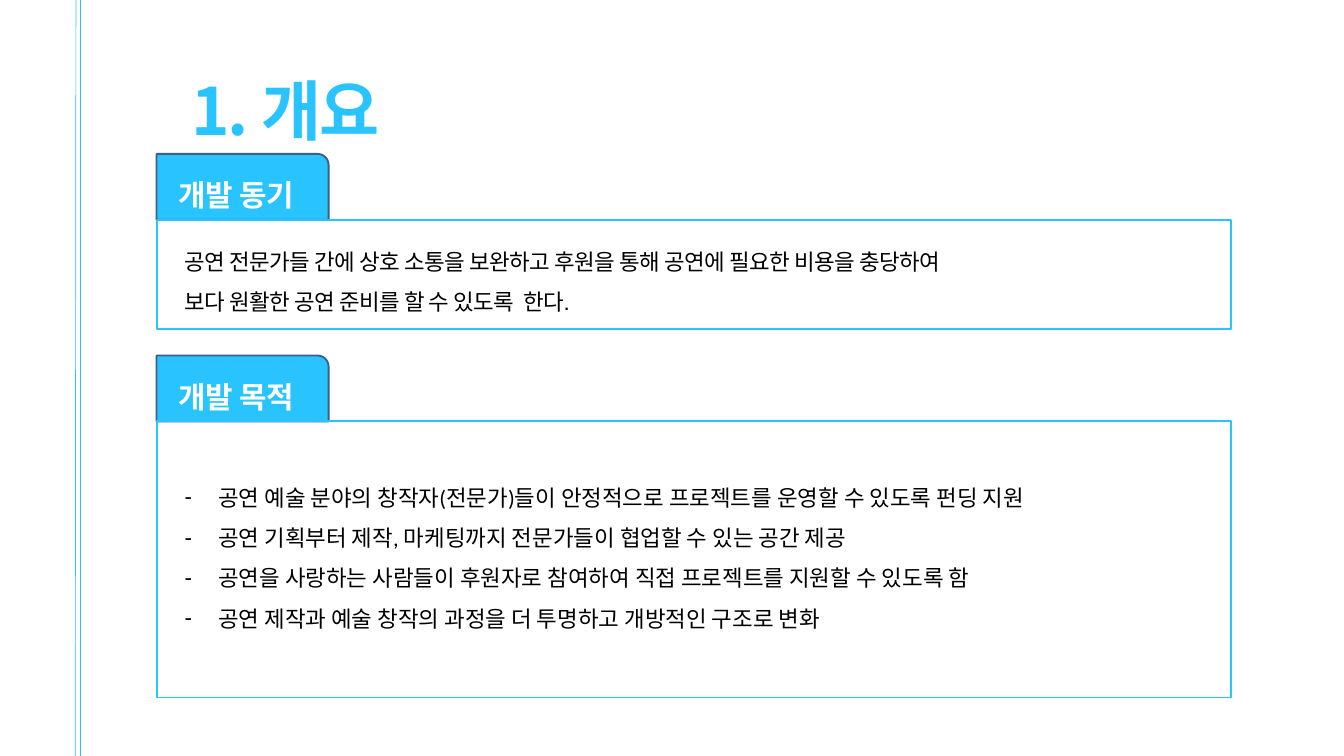
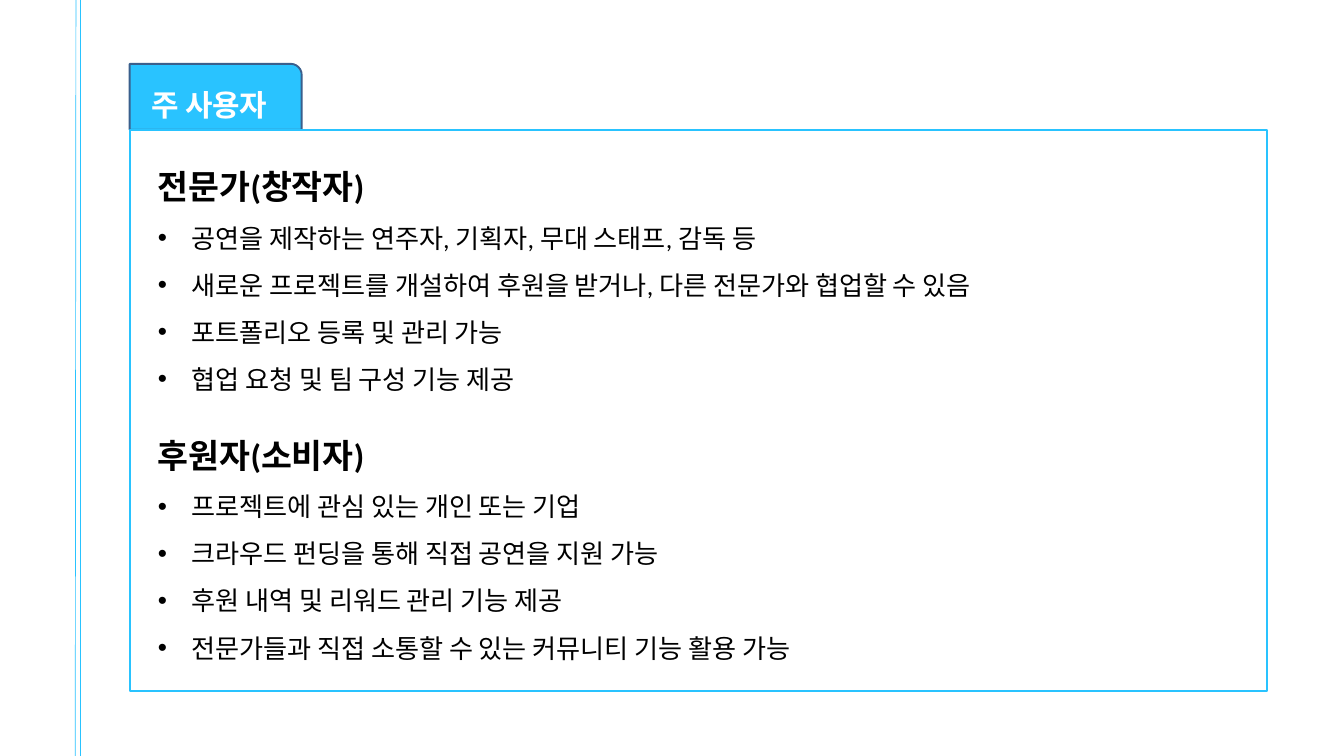
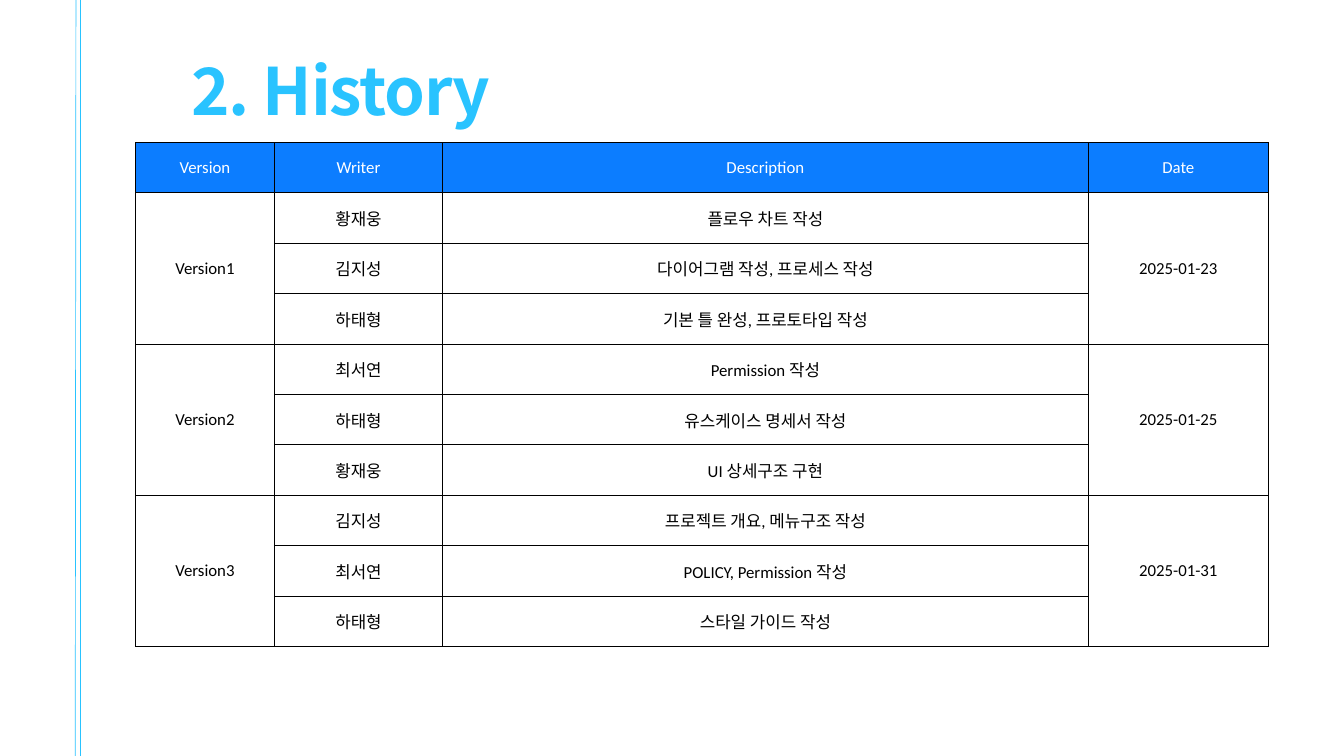
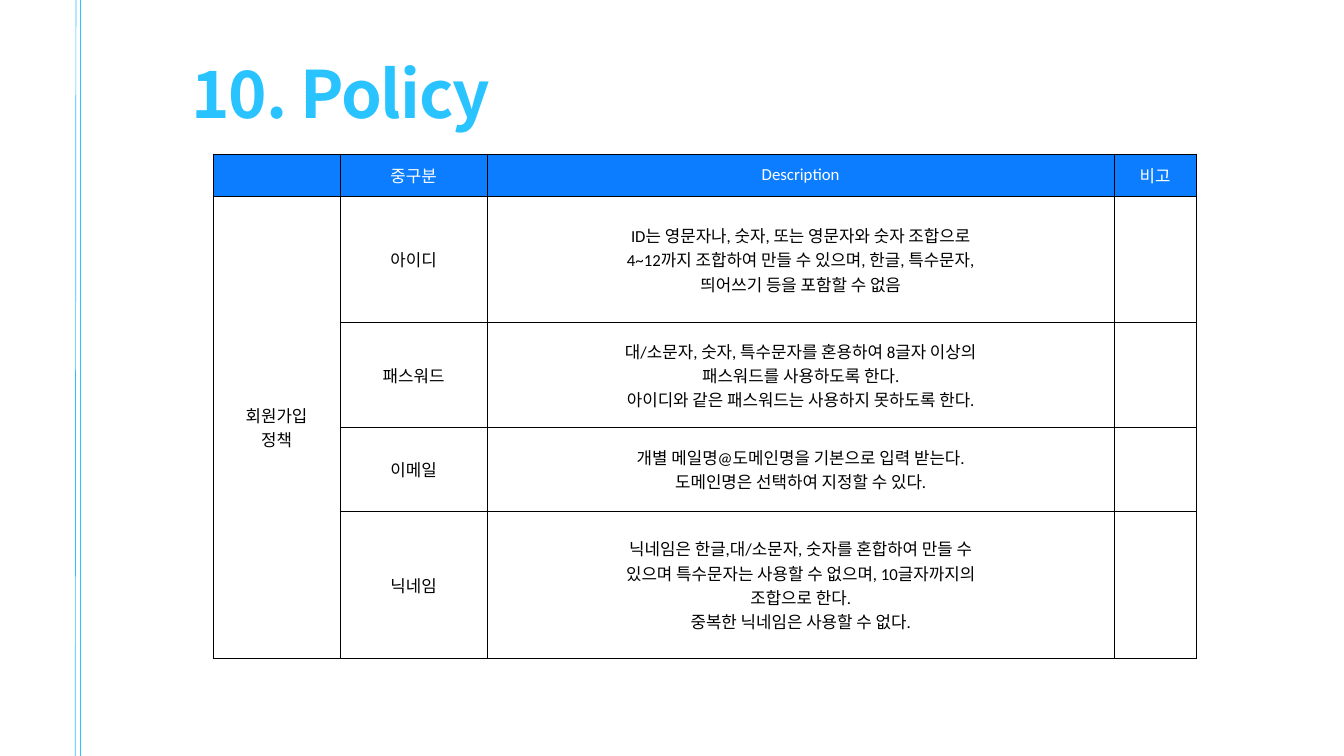
"""Build four slides of a project plan: overview, users, history and policy."""
from dataclasses import dataclass
from typing import NamedTuple

from lxml.etree import SubElement
from pptx import Presentation
from pptx.dml.color import RGBColor
from pptx.enum.shapes import MSO_CONNECTOR, MSO_SHAPE
from pptx.enum.text import MSO_ANCHOR, MSO_AUTO_SIZE, PP_ALIGN
from pptx.oxml.ns import qn
from pptx.slide import Slide
from pptx.util import Inches, Pt

SKY = RGBColor(0x29, 0xC3, 0xFF)
NAVY = RGBColor(0x3A, 0x5F, 0x8C)
BLUE = RGBColor(0x0C, 0x7D, 0xFF)
WHITE = RGBColor(0xFF, 0xFF, 0xFF)
BLACK = RGBColor(0x00, 0x00, 0x00)

WIDE, HIGH = Inches(20), Inches(11.25)
COL, ROW = WIDE / 200, HIGH / 112.5
HANGUL = "Noto Sans CJK KR"


class Area(NamedTuple):
    """A place in grid columns and rows."""
    left: float
    top: float
    width: float
    height: float

    def emu(self) -> tuple:
        """Give the place in slide units."""
        return (round(self.left * COL), round(self.top * ROW),
                round(self.width * COL), round(self.height * ROW))


@dataclass(frozen=True)
class Look:
    """The look of a run of text."""
    name: str
    size: float
    color: RGBColor = BLACK
    bold: bool = False
    track: float = 0
    pitch: object = 1.5


@dataclass(frozen=True)
class Line:
    """A paragraph with an optional bullet."""
    text: str
    look: Look
    mark: str = ""


@dataclass(frozen=True)
class Panel:
    """A framed box with a tab on its top left corner."""
    label: str
    frame: Area


@dataclass(frozen=True)
class Grid:
    """A table; None joins a cell to the one above it."""
    area: Area
    cols: tuple
    rows: tuple
    inset: float
    cells: tuple


TITLE = Look(HANGUL, 70, SKY, True, -1.2, Pt(126))
FIRST = Look(HANGUL, 70, SKY, True, -2.2, Pt(126))
TAB = Look("Roboto", 32, WHITE, True, -0.5, Pt(46.9))
BODY = Look("Arial", 24, track=-0.5)
ITEM = Look("Calibri", 24)
ROLE = Look("Calibri", 36, bold=True)
POINT = Look("Calibri", 28)
HEAD = Look("Calibri", 18, WHITE, pitch=None)
CELL = Look("Calibri", 18, pitch=None)

MOTIVE = Panel("개발 동기", Area(23.3, 32.7, 159.9, 16.3))
GOAL = Panel("개발 목적", Area(23.3, 62.7, 159.9, 41.1))
USERS = Panel("주 사용자", Area(19.3, 19.3, 169.2, 83.6))

REASONS = (
    "공연 전문가들 간에 상호 소통을 보완하고 후원을 통해 공연에 필요한 비용을 충당하여",
    "보다 원활한 공연 준비를 할 수 있도록  한다.",
)
GOALS = (
    "공연 예술 분야의 창작자(전문가)들이 안정적으로 프로젝트를 운영할 수 있도록 펀딩 지원",
    "공연 기획부터 제작, 마케팅까지 전문가들이 협업할 수 있는 공간 제공",
    "공연을 사랑하는 사람들이 후원자로 참여하여 직접 프로젝트를 지원할 수 있도록 함",
    "공연 제작과 예술 창작의 과정을 더 투명하고 개방적인 구조로 변화",
)
ROLES = {
    "전문가(창작자)": (
        "공연을 제작하는 연주자, 기획자, 무대 스태프, 감독 등",
        "새로운 프로젝트를 개설하여 후원을 받거나, 다른 전문가와 협업할 수 있음",
        "포트폴리오 등록 및 관리 가능",
        "협업 요청 및 팀 구성 기능 제공",
    ),
    "후원자(소비자)": (
        "프로젝트에 관심 있는 개인 또는 기업",
        "크라우드 펀딩을 통해 직접 공연을 지원 가능",
        "후원 내역 및 리워드 관리 기능 제공",
        "전문가들과 직접 소통할 수 있는 커뮤니티 기능 활용 가능",
    ),
}
HISTORY = Grid(
    Area(20.2, 21.2, 168.5, 75), (20.6, 25.1, 96, 26.9), (7.5,) * 10, 0.2,
    (
        ("Version", "Writer", "Description", "Date"),
        ("Version1", "황재웅", "플로우 차트 작성", "2025-01-23"),
        (None, "김지성", "다이어그램 작성, 프로세스 작성", None),
        (None, "하태형", "기본 틀 완성, 프로토타입 작성", None),
        ("Version2", "최서연", "Permission 작성", "2025-01-25"),
        (None, "하태형", "유스케이스 명세서 작성", None),
        (None, "황재웅", "UI 상세구조 구현", None),
        ("Version3", "김지성", "프로젝트 개요, 메뉴구조 작성", "2025-01-31"),
        (None, "최서연", "POLICY, Permission 작성", None),
        (None, "하태형", "스타일 가이드 작성", None),
    ),
)
POLICY = Grid(
    Area(31.7, 22.9, 146.3, 75), (18.9, 21.9, 93.3, 12.2),
    (6.3, 18.8, 15.6, 12.5, 21.9), 0.1,
    (
        ("", "중구분", "Description", "비고"),
        ("회원가입\n정책", "아이디",
         "ID는 영문자나, 숫자, 또는 영문자와 숫자 조합으로\n"
         "4~12까지 조합하여 만들 수 있으며, 한글, 특수문자,\n"
         "띄어쓰기 등을 포함할 수 없음", ""),
        (None, "패스워드",
         "대/소문자, 숫자, 특수문자를 혼용하여 8글자 이상의\n"
         "패스워드를 사용하도록 한다.\n"
         "아이디와 같은 패스워드는 사용하지 못하도록 한다.", ""),
        (None, "이메일",
         "개별 메일명@도메인명을 기본으로 입력 받는다.\n"
         "도메인명은 선택하여 지정할 수 있다.", ""),
        (None, "닉네임",
         "닉네임은 한글,대/소문자, 숫자를 혼합하여 만들 수\n"
         "있으며 특수문자는 사용할 수 없으며, 10글자까지의\n"
         "조합으로 한다.\n"
         "중복한 닉네임은 사용할 수 없다.", ""),
    ),
)


def apply(target: object, values: dict) -> None:
    """Set each named value on the target."""
    for key, value in values.items():
        setattr(target, key, value)


def write(para: object, line: Line) -> None:
    """Fill a paragraph with a styled line."""
    look = line.look
    para.text = line.text
    if look.pitch:
        para.line_spacing = look.pitch
    for run in para.runs:
        apply(run.font, {"name": look.name, "size": Pt(look.size),
                         "bold": look.bold})
        run.font.color.rgb = look.color
        props = run._r.get_or_add_rPr()
        SubElement(props, qn("a:ea"), typeface=HANGUL)
        if look.track:
            props.set("spc", str(round(look.track * 100)))
    if line.mark:
        props = para._p.get_or_add_pPr()
        props.set("marL", str(Inches(0.5)))
        props.set("indent", str(-Inches(0.5)))
        SubElement(props, qn("a:buFont"), typeface="Arial")
        SubElement(props, qn("a:buChar"), char=line.mark)


def add_text(slide: Slide, area: Area, lines: list, wrap: bool = True,
             flush: bool = False) -> None:
    """Add a text box, flush with its edges if asked."""
    frame = slide.shapes.add_textbox(*area.emu()).text_frame
    apply(frame, {"word_wrap": wrap,
                  "auto_size": MSO_AUTO_SIZE.SHAPE_TO_FIT_TEXT})
    if flush:
        apply(frame, dict.fromkeys(
            ("margin_left", "margin_top", "margin_right", "margin_bottom"), 0))
    for at, line in enumerate(lines):
        write(frame.add_paragraph() if at else frame.paragraphs[0], line)


def add_box(slide: Slide, kind: MSO_SHAPE, area: Area, edge: RGBColor,
            fill: RGBColor | None = None) -> None:
    """Add an outlined shape."""
    shape = slide.shapes.add_shape(kind, *area.emu())
    shape.shadow.inherit = False
    shape.line.color.rgb = edge
    shape.line.width = Pt(2)
    if fill is None:
        shape.fill.background()
    else:
        shape.fill.solid()
        shape.fill.fore_color.rgb = fill


def add_panel(slide: Slide, panel: Panel) -> None:
    """Add a tab, its label and the frame below."""
    left, top = panel.frame.left, panel.frame.top
    add_box(slide, MSO_SHAPE.ROUND_1_RECTANGLE,
            Area(left, top - 9.8, 25.6, 9.8), NAVY, SKY)
    add_text(slide, Area(left + 3.3, top - 7.6, 19, 6.1),
             [Line(panel.label, TAB)], flush=True)
    add_box(slide, MSO_SHAPE.RECTANGLE, panel.frame, SKY)


def add_title(slide: Slide, text: str, top: float, look: Look = TITLE) -> None:
    """Add the large slide title."""
    add_text(slide, Area(28.5, top, 127.7, 15.8), [Line(text, look)],
             flush=True)


def add_table(slide: Slide, grid: Grid) -> None:
    """Add a ruled table with a blue head row."""
    table = slide.shapes.add_table(
        len(grid.rows), len(grid.cols), *grid.area.emu()).table
    table.horz_banding = False
    for col, width in zip(table.columns, grid.cols):
        col.width = round(width * COL)
    for row, height in zip(table.rows, grid.rows):
        row.height = round(height * ROW)
    side = round(grid.inset * COL)
    for r, texts in enumerate(grid.cells):
        for c, text in enumerate(texts):
            cell = table.cell(r, c)
            apply(cell, {"margin_left": side, "margin_right": side,
                         "margin_top": 0, "margin_bottom": 0,
                         "vertical_anchor": MSO_ANCHOR.MIDDLE})
            rule(cell)
            if r:
                cell.fill.background()
            else:
                cell.fill.solid()
                cell.fill.fore_color.rgb = BLUE
            if text:
                para = cell.text_frame.paragraphs[0]
                write(para, Line(text, CELL if r else HEAD))
                para.alignment = PP_ALIGN.CENTER
    for c, texts in enumerate(zip(*grid.cells)):
        starts = [r for r, text in enumerate(texts) if text is not None]
        for top, end in zip(starts, starts[1:] + [len(texts)]):
            if end - top > 1:
                table.cell(top, c).merge(table.cell(end - 1, c))


def rule(cell: object) -> None:
    """Draw a thin black border round a cell."""
    props = cell._tc.get_or_add_tcPr()
    for side in ("lnL", "lnR", "lnT", "lnB"):
        edge = SubElement(props, qn(f"a:{side}"), w=str(Pt(1)))
        fill = SubElement(edge, qn("a:solidFill"))
        SubElement(fill, qn("a:srgbClr"), val=str(BLACK))


def add_slide(deck: object) -> Slide:
    """Add a blank slide with the twin rules at its left."""
    slide = deck.slides.add_slide(deck.slide_layouts[6])
    for low, high in ((11.2, 11.3), (11.9, 11.9)):
        line = slide.shapes.add_connector(
            MSO_CONNECTOR.STRAIGHT, round(low * COL), HIGH,
            round(high * COL), 0)
        line.line.color.rgb = SKY
        line.line.width = Pt(0.75)
        SubElement(line._element.spPr, qn("a:effectLst"))
    return slide


def main() -> None:
    """Build and save the deck."""
    deck = Presentation()
    apply(deck, {"slide_width": WIDE, "slide_height": HIGH})

    slide = add_slide(deck)
    add_title(slide, "1. 개요", 4.6, FIRST)
    add_text(slide, Area(26.5, 34.4, 131.2, 14.2),
             [Line(text, BODY) for text in REASONS], wrap=False)
    add_panel(slide, MOTIVE)
    add_text(slide, Area(26.5, 69.5, 137.1, 29.3),
             [Line(text, ITEM, "-") for text in GOALS], wrap=False)
    add_panel(slide, GOAL)

    slide = add_slide(deck)
    add_panel(slide, USERS)
    for at, (role, points) in enumerate(ROLES.items()):
        add_text(slide, Area(22.5, 21.2 + 40 * at, 169.2, 37.6),
                 [Line(role, ROLE)] + [Line(text, POINT, "•") for text in points])

    for title, top, grid in (("2. History", 1.6, HISTORY),
                             ("10. Policy", 2.1, POLICY)):
        slide = add_slide(deck)
        add_title(slide, title, top)
        add_table(slide, grid)

    deck.save("out.pptx")


if __name__ == "__main__":
    main()
